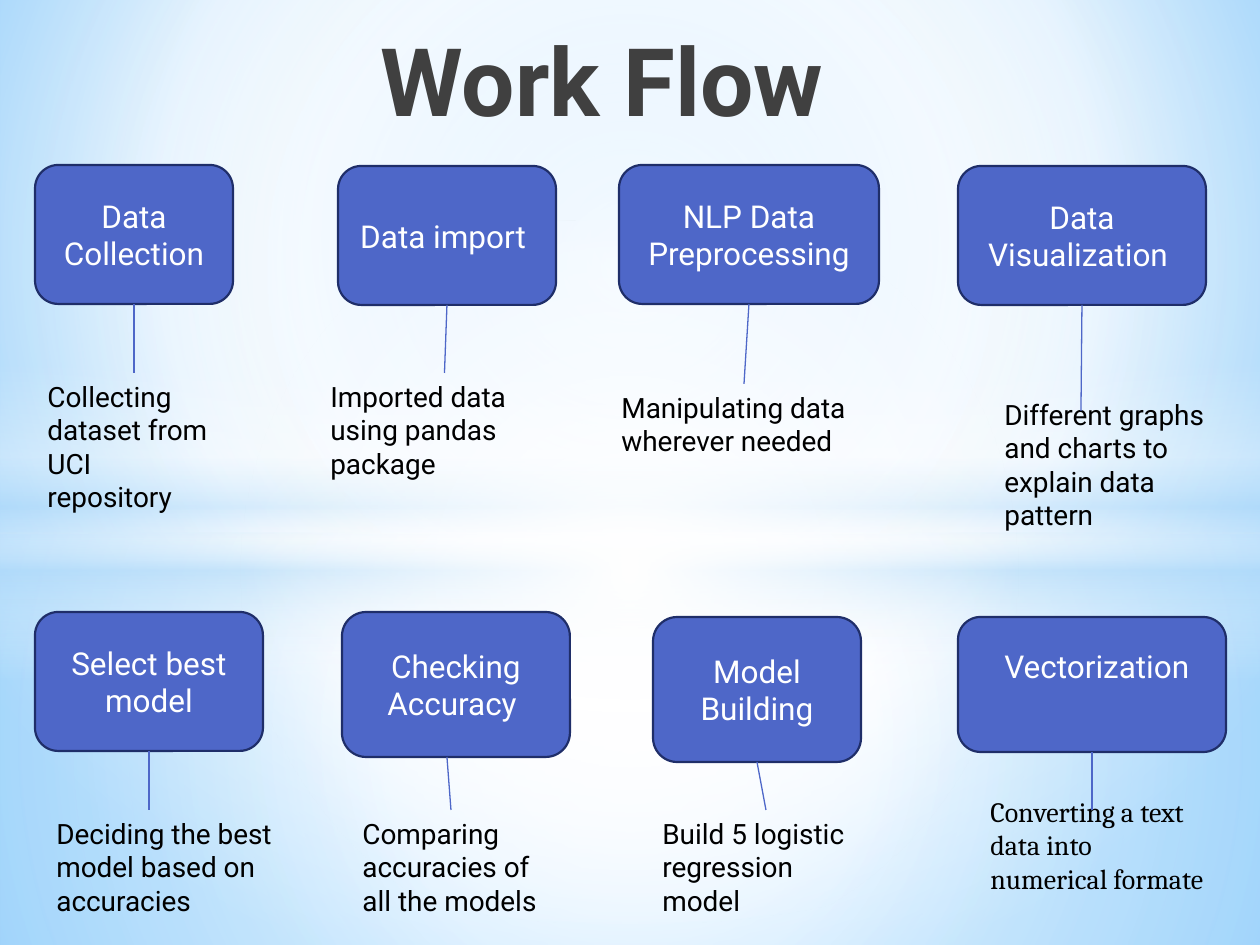
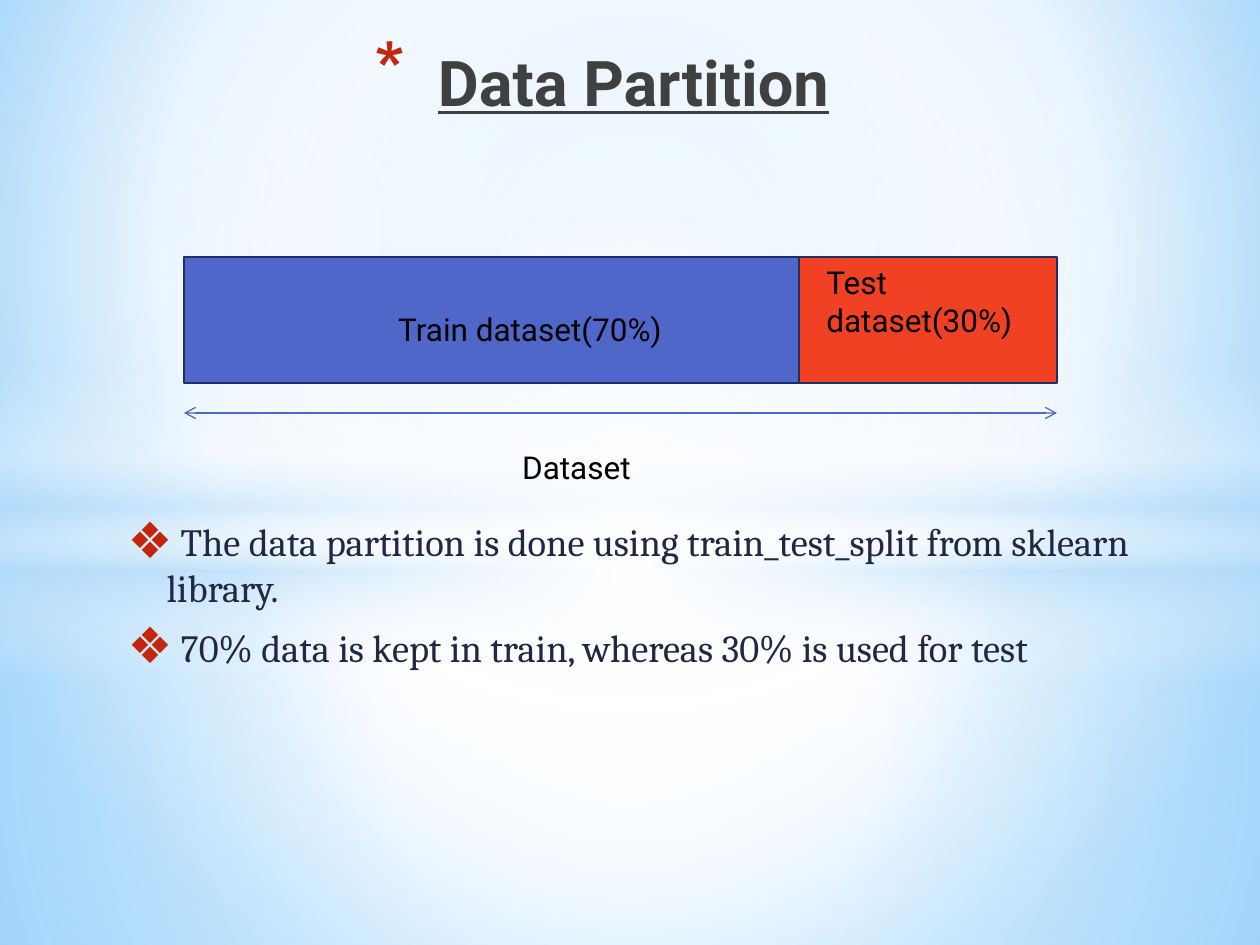
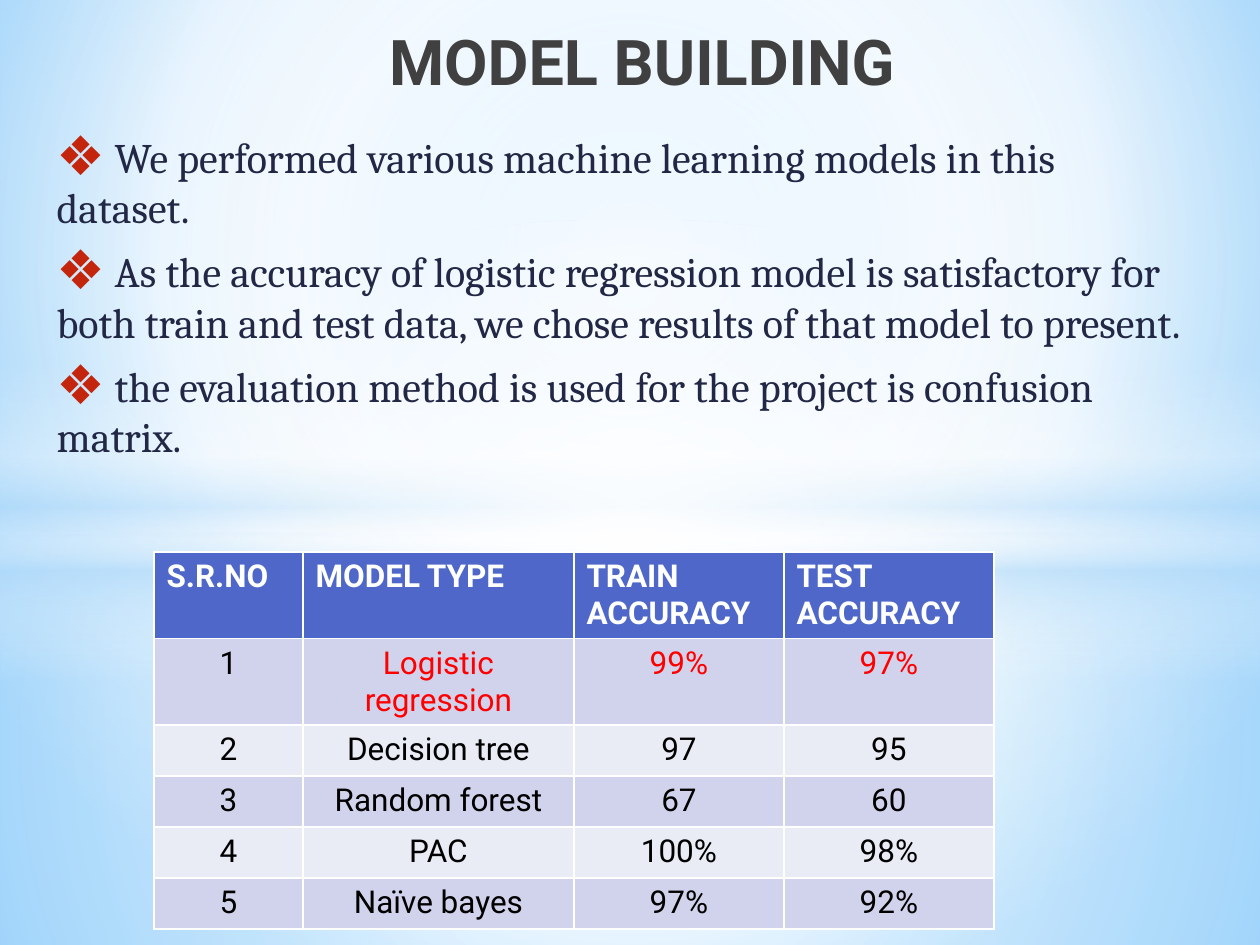
from lxml import etree
from pptx import Presentation
from pptx.dml.color import RGBColor
from pptx.enum.shapes import MSO_CONNECTOR, MSO_SHAPE
from pptx.enum.text import MSO_ANCHOR, MSO_AUTO_SIZE, PP_ALIGN
from pptx.oxml import parse_xml
from pptx.oxml.ns import nsdecls, qn
from pptx.util import Emu, Pt

EMU_PER_PX = 914400 / 126
WIDTH, HEIGHT = 1260, 945

BLUE = RGBColor(0x4E, 0x67, 0xC8)
NAVY = RGBColor(0x1F, 0x2E, 0x69)
INK = RGBColor(0x21, 0x27, 0x45)
TITLE_GREY = RGBColor(0x40, 0x40, 0x40)
ORANGE = RGBColor(0xF1, 0x41, 0x24)
BULLET_RED = RGBColor(0xC3, 0x26, 0x0C)
RED = RGBColor(0xFF, 0, 0)
BLACK = RGBColor(0, 0, 0)
WHITE = RGBColor(0xFF, 0xFF, 0xFF)
BANDS = RGBColor(0xD0, 0xD3, 0xEB), RGBColor(0xE9, 0xEB, 0xF5)
SANS, SERIF = "Roboto", "Cambria"

# Gradients: stops (position %, colour, opacity %), then the focus rectangle
# (left, top, right, bottom %) of a circular one, or None for top to bottom.
CENTRE = (50, 50, 50, 50)
BACKDROP = ([(0, "9ED5FF", 100), (60, "FFFFFF", 100), (100, "5BB9FF", 100)],
            (20, 10, 20, 60))
GLOWS = [
    (MSO_SHAPE.RECTANGLE, (0, 533, WIDTH, 412),
     [(0, "FFFFFF", 91), (37, "FFFFFF", 76), (100, "B4DCFA", 79)], CENTRE),
    (MSO_SHAPE.RECTANGLE, (0, 0, WIDTH, 533),
     [(0, "FFFFFF", 89), (48, "FFFFFF", 62), (100, "B4DCFA", 79)], CENTRE),
    (MSO_SHAPE.RECTANGLE, (0, 365, WIDTH, 315),
     [(0, "FFFFFF", 0), (29, "FFFFFF", 30), (45, "B4DCFA", 40),
      (55, "FFFFFF", 26), (65, "B4DCFA", 60), (100, "FFFFFF", 0)], None),
    (MSO_SHAPE.OVAL, (0, 220, WIDTH, 703),
     [(0, "FFFFFF", 100), (54, "FFFFFF", 0)], CENTRE),
]

# Step, its box, its note, the note's box, and the two ends of the link;
# None joins that end to the middle of the box or of the note.
STEPS = [
    ("Data Collection", (35, 165, 198, 139),
     "Collecting dataset from UCI repository", (35, 373, 198, 149), None, None),
    ("Data import ", (338, 166, 218, 139),
     "Imported data using pandas package", (318, 373, 253, 115), None, None),
    ("NLP Data Preprocessing", (619, 165, 260, 139),
     "Manipulating data wherever needed", (609, 384, 270, 81), None, None),
    ("Data Visualization ", (958, 166, 248, 139),
     "Different graphs and charts to explain data pattern",
     (992, 391, 268, 149), None, (1081, 411)),
    ("Model Building", (653, 617, 208, 145),
     "Build 5 logistic regression model", (650, 810, 232, 115), None, None),
    ("Checking Accuracy ", (342, 612, 228, 145),
     "Comparing accuracies of all the models",
     (350, 810, 220, 115), (447, 757), (451, 810)),
    ("Select best model", (35, 612, 228, 139),
     "Deciding the best model based on accuracies",
     (44, 810, 253, 115), None, (149, 810)),
    ("", (958, 617, 268, 135),
     "Converting a text data into numerical formate",
     (978, 788, 248, 149), None, (1092, 810)),
]
VECTOR_LABEL = "Vectorization", (992, 641, 233, 50)

PARTITION = [((184, 257, 615, 126), BLUE), ((799, 257, 258, 126), ORANGE)]
PARTITION_LABELS = [
    ("Train dataset(70%)", (282, 304, 496, 50), PP_ALIGN.CENTER),
    ("Test dataset(30%)", (814, 257, 243, 127), PP_ALIGN.LEFT),
    ("Dataset", (323, 442, 507, 50), PP_ALIGN.CENTER),
]
PARTITION_POINTS = [
    " The data partition is done using train_test_split from sklearn library.",
    " 70% data is kept in train, whereas 30% is used for test",
]

MODEL_POINTS = [
    " We performed various machine learning models in this dataset.",
    " As the accuracy of logistic regression model is satisfactory for both "
    "train and test data, we chose results of that model to present.",
    " the evaluation method is used for the project is confusion matrix.",
]
MODELS = [
    ("S.R.NO", "MODEL TYPE", "TRAIN ACCURACY", "TEST ACCURACY"),
    ("1", "Logistic regression", "99%", "97%"),
    ("2", "Decision tree", "97", "95"),
    ("3", "Random forest", "67", "60"),
    ("4", "PAC", "100%", "98%"),
    ("5", "Naïve bayes", "97%", "92%"),
]
CHOSEN_ROW = 1
COLUMNS, ROW_HEIGHT = (149, 271, 210, 210), 51


def px(*lengths):
    return [Emu(round(n * EMU_PER_PX)) for n in lengths]


def place(s, box):
    s.left, s.top, s.width, s.height = px(*box)


def set_gradient(fill, holder, stops, focus):
    """Give holder, the XML parent of fill, a gradient."""
    fill.solid()
    gs = "".join(
        f'<a:gs pos="{pos * 1000}"><a:srgbClr val="{rgb}">'
        f'<a:alpha val="{alpha * 1000}"/></a:srgbClr></a:gs>'
        for pos, rgb, alpha in stops)
    if focus:
        sides = " ".join(f'{k}="{v * 1000}"' for k, v in zip("ltrb", focus))
        shade = f'<a:path path="circle"><a:fillToRect {sides}/></a:path>'
    else:
        shade = '<a:lin ang="5400000" scaled="0"/>'
    solid = holder.find(".//" + qn("a:solidFill"))
    solid.getparent().replace(solid, parse_xml(
        f'<a:gradFill {nsdecls("a")} rotWithShape="1">'
        f'<a:gsLst>{gs}</a:gsLst>{shade}</a:gradFill>'))


def decorate_master(prs, slide):
    """Shapes are drawn on the slide, then moved to the back of the master."""
    master = prs.slide_master
    set_gradient(master.background.fill, master.element.find(".//" + qn("p:bg")),
                 *BACKDROP)
    for i, (kind, box, stops, focus) in enumerate(GLOWS):
        s = slide.shapes.add_shape(kind, *px(*box))
        s.shadow.inherit = False
        s.line.fill.background()
        set_gradient(s.fill, s.element.spPr, stops, focus)
        s.element.find(".//" + qn("p:cNvPr")).set("id", str(100 + i))
        master.shapes.element.insert(2 + i, s.element)


def style(p, size, color, font=SANS, align=PP_ALIGN.LEFT, bold=False):
    p.alignment = align
    for r in p.runs:
        r.font.size, r.font.name, r.font.bold = Pt(size), font, bold
        r.font.color.rgb = color


def set_indent(p, margin, first=0):
    pPr = p._p.get_or_add_pPr()
    pPr.set("marL", str(px(margin)[0]))
    pPr.set("indent", str(px(first)[0]))


def add_bullet(p, char, percent):
    pPr = p._p.get_or_add_pPr()
    color = etree.SubElement(pPr, qn("a:buClr"))
    etree.SubElement(color, qn("a:srgbClr"), val=str(BULLET_RED))
    etree.SubElement(pPr, qn("a:buSzPct"), val=str(percent * 1000))
    etree.SubElement(pPr, qn("a:buChar"), char=char)


def set_title(slide, text, box, size, margin=25):
    title = slide.shapes.title
    place(title, box)
    tf = title.text_frame
    tf.text = text
    tf.auto_size = MSO_AUTO_SIZE.NONE
    tf.vertical_anchor = MSO_ANCHOR.TOP
    p = tf.paragraphs[0]
    style(p, size, TITLE_GREY, align=PP_ALIGN.CENTER, bold=True)
    set_indent(p, margin)
    return p


def set_points(slide, points, box, size, hang=0):
    body = slide.placeholders[1]
    place(body, box)
    tf = body.text_frame
    tf.text = "\n".join(points)
    tf.auto_size = MSO_AUTO_SIZE.NONE
    for p in tf.paragraphs:
        style(p, size, INK, SERIF)
        p.space_after = Pt(3)
        set_indent(p, hang, -hang)
        add_bullet(p, "❖", 130)


def add_label(slide, text, box, size, color=BLACK, font=SANS,
              align=PP_ALIGN.LEFT):
    s = slide.shapes.add_textbox(*px(*box))
    tf = s.text_frame
    tf.word_wrap = True
    tf.auto_size = MSO_AUTO_SIZE.SHAPE_TO_FIT_TEXT
    tf.text = text
    style(tf.paragraphs[0], size, color, font, align)
    return s


def add_box(slide, kind, box, color, text=""):
    s = slide.shapes.add_shape(kind, *px(*box))
    s.shadow.inherit = False
    s.fill.solid()
    s.fill.fore_color.rgb = color
    s.line.color.rgb = NAVY
    s.line.width = Pt(1.25)
    if text:
        s.text_frame.text = text
        s.text_frame.vertical_anchor = MSO_ANCHOR.MIDDLE
        style(s.text_frame.paragraphs[0], 18, WHITE, align=PP_ALIGN.CENTER)
    return s


def add_line(slide, start, end):
    c = slide.shapes.add_connector(MSO_CONNECTOR.STRAIGHT, *px(*start, *end))
    c.line.color.rgb = BLUE
    c.line.width = Pt(0.75)
    etree.SubElement(c.element.spPr, qn("a:effectLst"))
    return c


def build_work_flow(slide):
    set_title(slide, "Work Flow", (95, 16, 989, 118), 54)
    subtitle = slide.placeholders[1].element
    subtitle.getparent().remove(subtitle)
    for step, box, note, note_box, start, end in STEPS:
        s = add_box(slide, MSO_SHAPE.ROUNDED_RECTANGLE, box, BLUE, step)
        font = SANS if step else SERIF
        label = add_label(slide, note, note_box, 16, font=font)
        link = add_line(slide, start or (0, 0), end or (0, 0))
        if start is None:
            link.begin_connect(s, 2)
        if end is None:
            link.end_connect(label, 0)
    add_label(slide, *VECTOR_LABEL, 18, WHITE)


def build_data_partition(slide):
    set_points(slide, PARTITION_POINTS, (115, 512, 1081, 296), 22, hang=39)
    p = set_title(slide, "Data Partition", (95, 37, 989, 149), 36, margin=88)
    p.runs[0].font.underline = True
    set_indent(p, 88, -63)
    add_bullet(p, "*", 128)
    for box, color in PARTITION:
        add_box(slide, MSO_SHAPE.RECTANGLE, box, color)
    for text, box, align in PARTITION_LABELS:
        add_label(slide, text, box, 18, align=align)
    span = add_line(slide, (184, 413), (1057, 413))
    ln = span.element.find(".//" + qn("a:ln"))
    for tip in ("a:headEnd", "a:tailEnd"):
        etree.SubElement(ln, qn(tip), type="arrow")


def build_model_building(slide):
    set_points(slide, MODEL_POINTS, (44, 125, 1160, 397), 24)
    set_title(slide, "MODEL BUILDING", (135, 16, 989, 110), 36)
    box = (154, 552, sum(COLUMNS), ROW_HEIGHT * len(MODELS))
    table = slide.shapes.add_table(len(MODELS), len(COLUMNS), *px(*box)).table
    for column, width in zip(table.columns, px(*COLUMNS)):
        column.width = width
    for i, row in enumerate(MODELS):
        for j, text in enumerate(row):
            cell = table.cell(i, j)
            cell.text = text
            cell.fill.solid()
            p = cell.text_frame.paragraphs[0]
            if i == 0:
                cell.fill.fore_color.rgb = BLUE
                style(p, 18, WHITE, bold=True)
            else:
                cell.fill.fore_color.rgb = BANDS[(i - 1) % 2]
                color = RED if i == CHOSEN_ROW and j > 0 else BLACK
                style(p, 18, color, align=PP_ALIGN.CENTER)


def main():
    prs = Presentation()
    prs.slide_width, prs.slide_height = px(WIDTH, HEIGHT)
    builders = build_work_flow, build_data_partition, build_model_building
    slides = [prs.slides.add_slide(prs.slide_layouts[0]) for _ in builders]
    decorate_master(prs, slides[0])
    for build, slide in zip(builders, slides):
        build(slide)
    prs.save("out.pptx")


if __name__ == "__main__":
    main()
